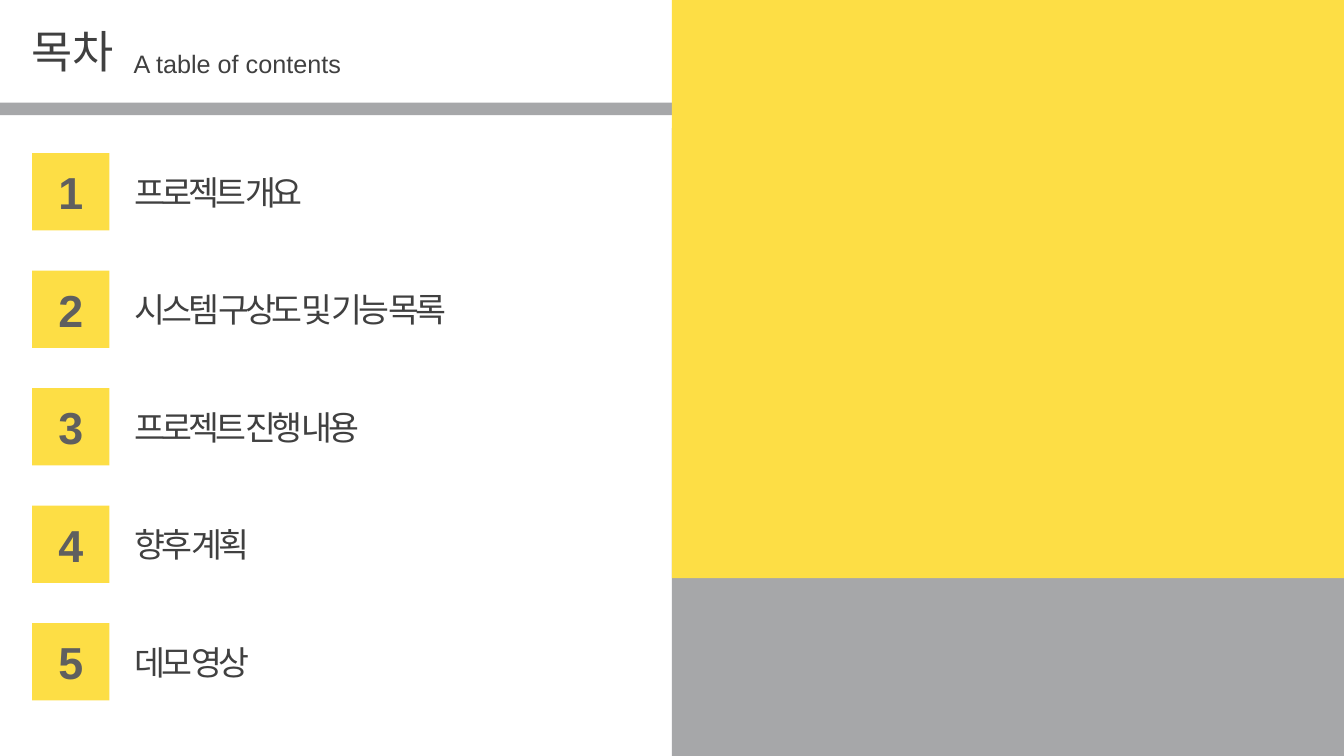
import pptx
import pptx.util
import pptx.dml.color
import pptx.enum.shapes
import pptx.enum.text

Cm = pptx.util.Cm
ALIGN = pptx.enum.text.PP_ALIGN
ANCHOR = pptx.enum.text.MSO_ANCHOR

TITLE = "목차"
SUBTITLE = "A table of contents"
TOPICS = [
    "프로젝트 개요",
    "시스템 구상도 및 기능 목록",
    "프로젝트 진행 내용",
    "향후 계획",
    "데모 영상",
]


class Theme:
    font = "Arial"
    yellow = "FDDE45"
    gray = "A6A7A9"
    ink = "404040"
    digit = "5F5F5F"
    big = 32
    mid = 24
    small = 18
    tight = -3  # letter spacing of topics, in points


# Lengths in centimetres
WIDE, HIGH = 33.87, 19.05
HALF = WIDE / 2
BOX = 1.95
LEFT, TOP, STEP = 0.81, 3.86, 2.96
LABEL_X, LABEL_W, LABEL_H = 3.15, 10, 1.25


def rgb(code):
    return pptx.dml.color.RGBColor.from_string(code)


def add_rect(slide, x, y, w, h, color):
    rect = slide.shapes.add_shape(
        pptx.enum.shapes.MSO_SHAPE.RECTANGLE, Cm(x), Cm(y), Cm(w), Cm(h))
    rect.fill.solid()
    rect.fill.fore_color.rgb = rgb(color)
    rect.line.fill.background()
    rect.shadow.inherit = False
    return rect


def write(shape, text, size, color, bold=False, align=ALIGN.LEFT,
          anchor=ANCHOR.TOP, wrap=True):
    frame = shape.text_frame
    frame.text = text
    frame.word_wrap = wrap
    frame.auto_size = pptx.enum.text.MSO_AUTO_SIZE.NONE
    frame.vertical_anchor = anchor
    line = frame.paragraphs[0]
    line.alignment = align
    line.font.name = Theme.font
    line.font.size = pptx.util.Pt(size)
    line.font.bold = bold
    line.font.color.rgb = rgb(color)
    return line


def add_text(slide, x, y, w, h, *style, **more):
    box = slide.shapes.add_textbox(Cm(x), Cm(y), Cm(w), Cm(h))
    return write(box, *style, **more)


def add_head(slide):
    title = slide.shapes.title
    title.left, title.top = Cm(0.53), Cm(0.48)
    title.width, title.height = Cm(2.72), Cm(1.63)
    write(title, TITLE, Theme.big, Theme.ink, wrap=False)
    add_text(slide, 3.12, 1.09, 9, 1.02, SUBTITLE, Theme.small, Theme.ink)


def add_topic(slide, index, topic):
    y = TOP + index * STEP
    box = add_rect(slide, LEFT, y, BOX, BOX, Theme.yellow)
    write(box, str(index + 1), Theme.big, Theme.digit, bold=True,
          align=ALIGN.CENTER, anchor=ANCHOR.MIDDLE, wrap=False)
    label = add_text(slide, LABEL_X, y + (BOX - LABEL_H) / 2, LABEL_W, LABEL_H,
                     topic, Theme.mid, Theme.ink, anchor=ANCHOR.MIDDLE)
    label.runs[0]._r.get_or_add_rPr().set("spc", str(Theme.tight * 100))


def main():
    deck = pptx.Presentation()
    deck.slide_width, deck.slide_height = Cm(WIDE), Cm(HIGH)
    slide = deck.slides.add_slide(deck.slide_layouts[5])
    add_rect(slide, HALF, 3.23, HALF, HIGH - 3.23, Theme.gray)
    add_rect(slide, 0, 2.59, HALF, 0.31, Theme.gray)
    add_head(slide)
    for index, topic in enumerate(TOPICS):
        add_topic(slide, index, topic)
    add_rect(slide, HALF, 0, HALF, 14.57, Theme.yellow)
    deck.save("out.pptx")


if __name__ == "__main__":
    main()
